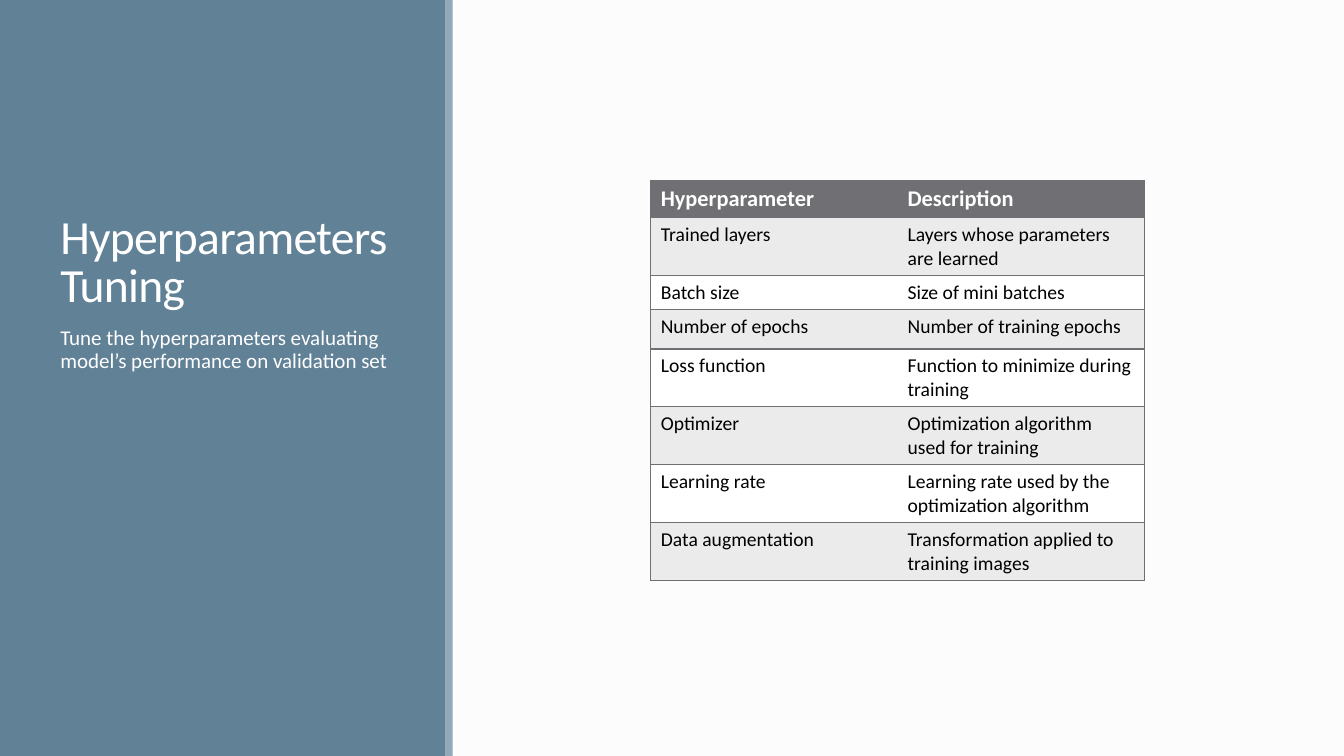
from lxml import etree
from pptx import Presentation
from pptx.dml.color import RGBColor
from pptx.enum.shapes import MSO_SHAPE
from pptx.enum.text import MSO_ANCHOR
from pptx.oxml.ns import qn
from pptx.util import Cm, Pt

RECT = MSO_SHAPE.RECTANGLE
TOP, BOTTOM = MSO_ANCHOR.TOP, MSO_ANCHOR.BOTTOM
FONT = "Calibri"
GREY, WHITE, BAND = "6F6F74", "FFFFFF", "EBEBEB"
HEAD, LINE, WIDE, TALL = 0.92, 0.86, 0.99, 1.46

# Each row: height in cm, hyperparameter, description
ROWS = [
    (HEAD, "Hyperparameter", "Description"),
    (TALL, "Trained layers", "Layers whose parameters are learned"),
    (LINE, "Batch size", "Size of mini batches"),
    (WIDE, "Number of epochs", "Number of training epochs"),
    (TALL, "Loss function", "Function to minimize during training"),
    (TALL, "Optimizer", "Optimization algorithm used for training"),
    (TALL, "Learning rate", "Learning rate used by the optimization algorithm"),
    (TALL, "Data augmentation", "Transformation applied to training images"),
]


def paint(fill, color):
    fill.solid()
    fill.fore_color.rgb = RGBColor.from_string(color)


def write(frame, text, size, color, bold=False):
    frame.text = text
    para = frame.paragraphs[0]
    font = para.runs[0].font
    font.name, font.size, font.bold = FONT, Pt(size), bold
    font.color.rgb = RGBColor.from_string(color)
    return para


def add_bar(slide, left, top, width, height, color):
    bar = slide.shapes.add_shape(RECT, Cm(left), Cm(top), Cm(width), Cm(height))
    bar.shadow.inherit = False
    paint(bar.fill, color)
    bar.line.fill.background()


def add_text(slide, left, top, width, height, text, size, anchor):
    box = slide.shapes.add_textbox(Cm(left), Cm(top), Cm(width), Cm(height))
    frame = box.text_frame
    frame.word_wrap = True
    frame.vertical_anchor = anchor
    return write(frame, text, size, WHITE)


def add_panel(slide, left, top, width, height):
    # Coloured side panel with a thin edge
    edge = 0.18
    add_bar(slide, left, top, width - edge, height, "618197")
    add_bar(slide, left + width - edge, top, edge, height, "92A9B9")

    # Title above, summary below
    inset, room = left + 1.27, width - 2.52
    title = add_text(slide, inset, top + 1.65, room, 6.35,
                     "Hyperparameters Tuning", 34, BOTTOM)
    title.line_spacing = 0.85
    title.runs[0].font._element.set("spc", "-50")
    body = add_text(slide, inset, top + 8.13, room, 9.4,
                    "Tune the hyperparameters evaluating model’s "
                    "performance on validation set", 15, TOP)
    body.line_spacing = 0.9
    body.space_before, body.space_after = Pt(12), Pt(2)


def set_edges(cell, colors):
    # Border lines come before the fill in the cell properties
    props = cell._tc.get_or_add_tcPr()
    for spot, (side, color) in enumerate(colors.items()):
        line = etree.Element(qn("a:ln" + side), w=str(Pt(1)))
        if color:
            solid = etree.SubElement(line, qn("a:solidFill"))
            etree.SubElement(solid, qn("a:srgbClr"), val=color)
        else:
            etree.SubElement(line, qn("a:noFill"))
        props.insert(spot, line)


def add_grid(slide, left, top, width):
    height = sum(row[0] for row in ROWS)
    table = slide.shapes.add_table(len(ROWS), 2, Cm(left), Cm(top),
                                   Cm(width), Cm(height)).table
    for col in table.columns:
        col.width = Cm(width / 2)
    for i, (tall, *texts) in enumerate(ROWS):
        table.rows[i].height = Cm(tall)
        head = i == 0
        fill = GREY if head else BAND if i % 2 else WHITE
        for j, text in enumerate(texts):
            cell = table.cell(i, j)
            write(cell.text_frame, text, 16 if head else 14,
                  WHITE if head else "000000", head)
            paint(cell.fill, fill)
            # Outer frame and row rules, no line between the columns
            set_edges(cell, {"L": None if j else GREY, "R": GREY if j else None,
                             "T": GREY, "B": GREY})


def main():
    deck = Presentation()
    deck.slide_width, deck.slide_height = Cm(33.87), Cm(19.05)
    slide = deck.slides.add_slide(deck.slide_layouts[6])
    paint(slide.background.fill, "FCFCFC")
    add_panel(slide, 0, 0, 11.41, 19.05)
    add_grid(slide, 16.4, 4.55, 12.44)
    deck.save("out.pptx")


if __name__ == "__main__":
    main()
